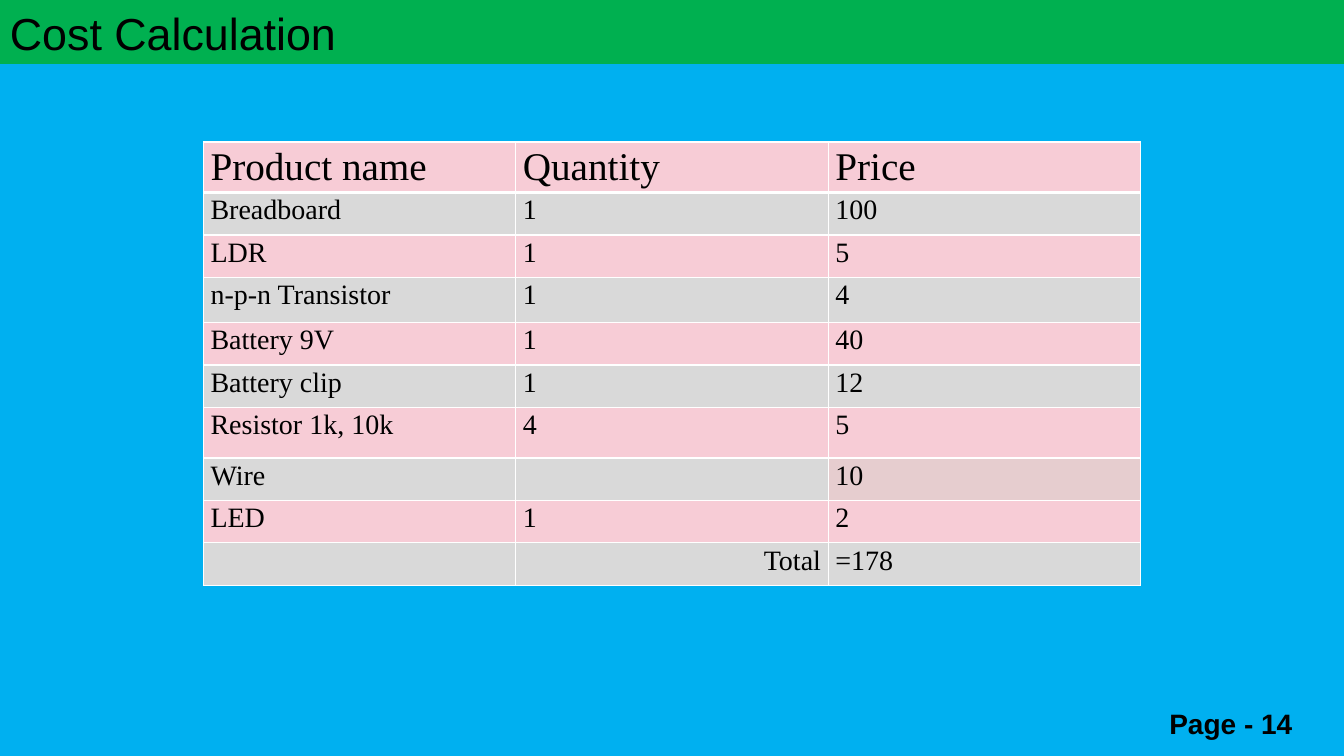
from dataclasses import dataclass

from lxml import etree
from pptx import Presentation
from pptx.dml.color import RGBColor
from pptx.enum.shapes import MSO_SHAPE
from pptx.enum.text import MSO_ANCHOR, PP_ALIGN
from pptx.oxml.ns import qn
from pptx.util import Cm, Pt

RECTANGLE = MSO_SHAPE.RECTANGLE
MIDDLE = MSO_ANCHOR.MIDDLE
JUSTIFY, RIGHT, CENTER = PP_ALIGN.JUSTIFY, PP_ALIGN.RIGHT, PP_ALIGN.CENTER


@dataclass(frozen=True)
class Theme:
    sans: str = "Arial"
    serif: str = "Times New Roman"
    ink: str = "000000"
    green: str = "00B050"
    blue: str = "00B0F0"
    pink: str = "F7CCD6"
    grey: str = "D9D9D9"
    rose: str = "E6CDCF"
    grid: str = "FFFFFF"
    title: int = 32
    heading: int = 28
    body: int = 20
    thin: int = 1
    thick: int = 3


THEME = Theme()
WIDTH, HEIGHT = Cm(33.87), Cm(19.05)
HEADER_HEIGHT = Cm(1.63)

COSTS = [
    ("Product name", "Quantity", "Price"),
    ("Breadboard", "1", "100"),
    ("LDR", "1", "5"),
    ("n-p-n Transistor", "1", "4"),
    ("Battery 9V", "1", "40"),
    ("Battery clip", "1", "12"),
    ("Resistor 1k, 10k", "4", "5"),
    ("Wire", "", "10"),
    ("LED", "1", "2"),
    ("", "Total", "=178"),
]
ROW_HEIGHT = 1.07
TALL_ROWS = {0: 1.27, 3: 1.14, 6: 1.27}
ROSE_CELL = (7, 2)


def add_text(para, text, font, size, align, bold=False):
    para.alignment = align
    span = para.add_run()
    span.text = text
    span.font.name = font
    span.font.size = Pt(size)
    span.font.bold = bold
    span.font.color.rgb = RGBColor.from_string(THEME.ink)


def add_panel(page, left, top, width, height, color):
    panel = page.shapes.add_shape(RECTANGLE, left, top, width, height)
    panel.shadow.inherit = False
    panel.fill.solid()
    panel.fill.fore_color.rgb = RGBColor.from_string(color)
    panel.line.fill.background()
    return panel


def add_header(page, left, top, width, height):
    band = add_panel(page, left, top, width, height, THEME.green)
    band.text_frame.vertical_anchor = MIDDLE
    add_text(band.text_frame.paragraphs[0], "Cost Calculation",
             THEME.sans, THEME.title, JUSTIFY)


def add_body(page, left, top, width, height):
    body = add_panel(page, left, top, width, height, THEME.blue)
    body.line.color.rgb = RGBColor.from_string(THEME.blue)
    body.line.width = Pt(1.25)


def add_borders(cell, widths):
    """Draw the left, right, top and bottom edges; widths are in points."""
    properties = cell._tc.get_or_add_tcPr()
    for side, width in zip("LRTB", widths):
        edge = etree.SubElement(properties, qn(f"a:ln{side}"), w=str(Pt(width)))
        fill = etree.SubElement(edge, qn("a:solidFill"))
        etree.SubElement(fill, qn("a:srgbClr"), val=THEME.grid)


def add_cost_cell(cell, row, column, text):
    thin, thick = THEME.thin, THEME.thick
    add_borders(cell, (thin, thin, thick if row == 1 else thin,
                       thick if row == 0 else thin))
    band = THEME.grey if row % 2 else THEME.pink
    color = THEME.rose if (row, column) == ROSE_CELL else band
    cell.fill.solid()
    cell.fill.fore_color.rgb = RGBColor.from_string(color)
    cell.margin_left = cell.margin_right = Cm(0.18)
    cell.margin_top = cell.margin_bottom = 0
    if text:
        para = cell.text_frame.paragraphs[0]
        para.line_spacing = 1.07
        add_text(para, text, THEME.serif,
                 THEME.body if row else THEME.heading,
                 RIGHT if text == "Total" else JUSTIFY)


def add_cost_table(page, left, top, width, height):
    columns = len(COSTS[0])
    table = page.shapes.add_table(len(COSTS), columns,
                                  left, top, width, height).table
    table.first_row = table.horz_banding = False
    for row, texts in enumerate(COSTS):
        table.rows[row].height = Cm(TALL_ROWS.get(row, ROW_HEIGHT))
        for column, text in enumerate(texts):
            add_cost_cell(table.cell(row, column), row, column, text)


def add_page_number(page, left, top, width, height):
    box = page.shapes.add_textbox(left, top, width, height)
    box.text_frame.word_wrap = True
    box.text_frame.vertical_anchor = MIDDLE
    add_text(box.text_frame.paragraphs[0], "Page - 14",
             THEME.sans, THEME.body, CENTER, bold=True)


def main():
    deck = Presentation()
    deck.slide_width, deck.slide_height = WIDTH, HEIGHT
    page = deck.slides.add_slide(deck.slide_layouts[6])

    # Title band and blue area below it
    add_header(page, 0, 0, WIDTH, HEADER_HEIGHT)
    add_body(page, 0, HEADER_HEIGHT, WIDTH, HEIGHT - HEADER_HEIGHT)

    # Cost table, centred across the slide
    table_width = Cm(23.62)
    add_cost_table(page, (WIDTH - table_width) // 2, Cm(3.58),
                   table_width, Cm(11.17))

    # Page number in the bottom right corner
    number_width, number_height = Cm(5.7), Cm(1.65)
    add_page_number(page, WIDTH - number_width, HEIGHT - number_height,
                    number_width, number_height)
    deck.save("out.pptx")


if __name__ == "__main__":
    main()
